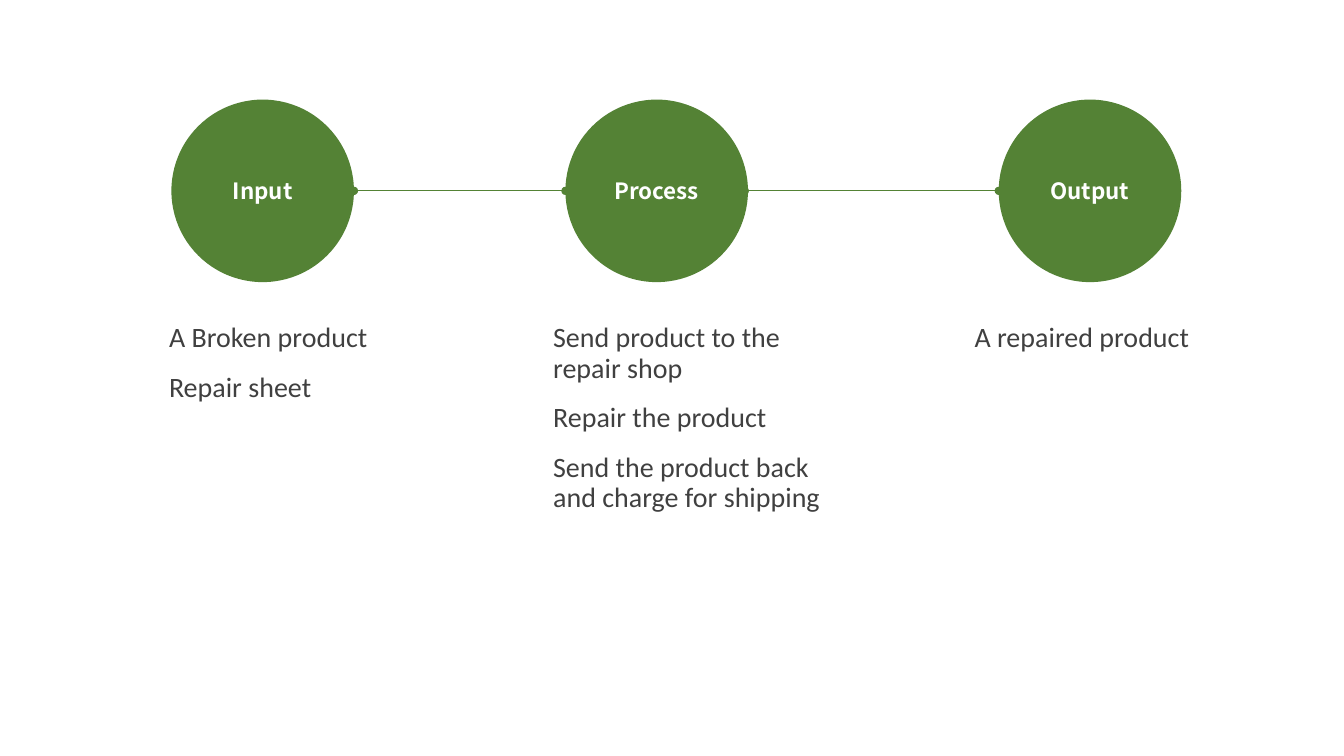
from itertools import pairwise

from lxml import etree
from pptx import Presentation
from pptx.dml.color import RGBColor
from pptx.enum.shapes import MSO_CONNECTOR, MSO_SHAPE
from pptx.enum.text import MSO_ANCHOR, PP_ALIGN
from pptx.oxml.ns import qn
from pptx.util import Cm, Pt

OVAL, STRAIGHT = MSO_SHAPE.OVAL, MSO_CONNECTOR.STRAIGHT
MIDDLE, CENTER = MSO_ANCHOR.MIDDLE, PP_ALIGN.CENTER
GREEN = RGBColor(0x54, 0x82, 0x35)
WHITE = RGBColor(0xFF, 0xFF, 0xFF)
GREY = RGBColor(0x40, 0x40, 0x40)

# Lengths in cm; "overlap" is how far the outgoing line starts inside the circle.
STAGES = [
    {"title": "Input", "circle": 4.32, "notes_left": 4.01, "inset": 0.25, "overlap": 0,
     "notes": ["A Broken product", "Repair sheet"]},
    {"title": "Process", "circle": 14.25, "notes_left": 13.94, "inset": 0, "overlap": 0.08,
     "notes": ["Send product to the repair shop", "Repair the product",
               "Send the product back and charge for shipping"]},
    {"title": "Output", "circle": 25.17, "notes_left": 24.56, "inset": 0, "overlap": 0,
     "notes": ["A repaired product"]},
]
CIRCLE_TOP, DIAMETER = 2.51, 4.6
NOTES_TOP, NOTES_WIDTH, NOTES_HEIGHT = 8.03, 7.01, 8.64


def set_font(para, name, size, color, bold=False):
    para.font.name = name
    para.font.size = Pt(size)
    para.font.color.rgb = color
    para.font.bold = bold


def add_notes(page, stage):
    box = page.shapes.add_textbox(Cm(stage["notes_left"]), Cm(NOTES_TOP),
                                  Cm(NOTES_WIDTH), Cm(NOTES_HEIGHT))
    frame = box.text_frame
    frame.word_wrap = True
    frame.margin_left = frame.margin_right = Cm(stage["inset"])
    frame.text = "\n".join(stage["notes"])
    for para in frame.paragraphs:
        para.line_spacing = 0.9
        para.space_before, para.space_after = Pt(12), Pt(2)
        set_font(para, "Calibri", 20, GREY)


def add_circle(page, stage):
    circle = page.shapes.add_shape(OVAL, Cm(stage["circle"]), Cm(CIRCLE_TOP),
                                   Cm(DIAMETER), Cm(DIAMETER))
    circle.shadow.inherit = False
    circle.fill.solid()
    circle.fill.fore_color.rgb = GREEN
    circle.line.fill.background()
    frame = circle.text_frame
    frame.vertical_anchor = MIDDLE
    frame.text = stage["title"]
    para = frame.paragraphs[0]
    para.alignment = CENTER
    set_font(para, "Noto Sans CJK SC", 16, WHITE, bold=True)


def add_link(page, stage, following):
    """Join two circles with a thin line that has a dot at each end."""
    middle = Cm(CIRCLE_TOP + DIAMETER / 2)
    start = Cm(stage["circle"] + DIAMETER - stage["overlap"])
    link = page.shapes.add_connector(STRAIGHT, start, middle,
                                     Cm(following["circle"]), middle)
    link.line.color.rgb = GREEN
    link.line.width = Pt(0.5)
    properties = link._element.spPr
    for end in ("a:headEnd", "a:tailEnd"):
        etree.SubElement(properties.find(qn("a:ln")), qn(end), type="oval")
    etree.SubElement(properties, qn("a:effectLst"))


def main():
    deck = Presentation()
    deck.slide_width, deck.slide_height = Cm(33.87), Cm(19.05)
    page = deck.slides.add_slide(deck.slide_layouts[6])
    for stage in STAGES:
        add_notes(page, stage)
        add_circle(page, stage)
    for stage, following in pairwise(STAGES):
        add_link(page, stage, following)
    deck.save("out.pptx")


if __name__ == "__main__":
    main()
